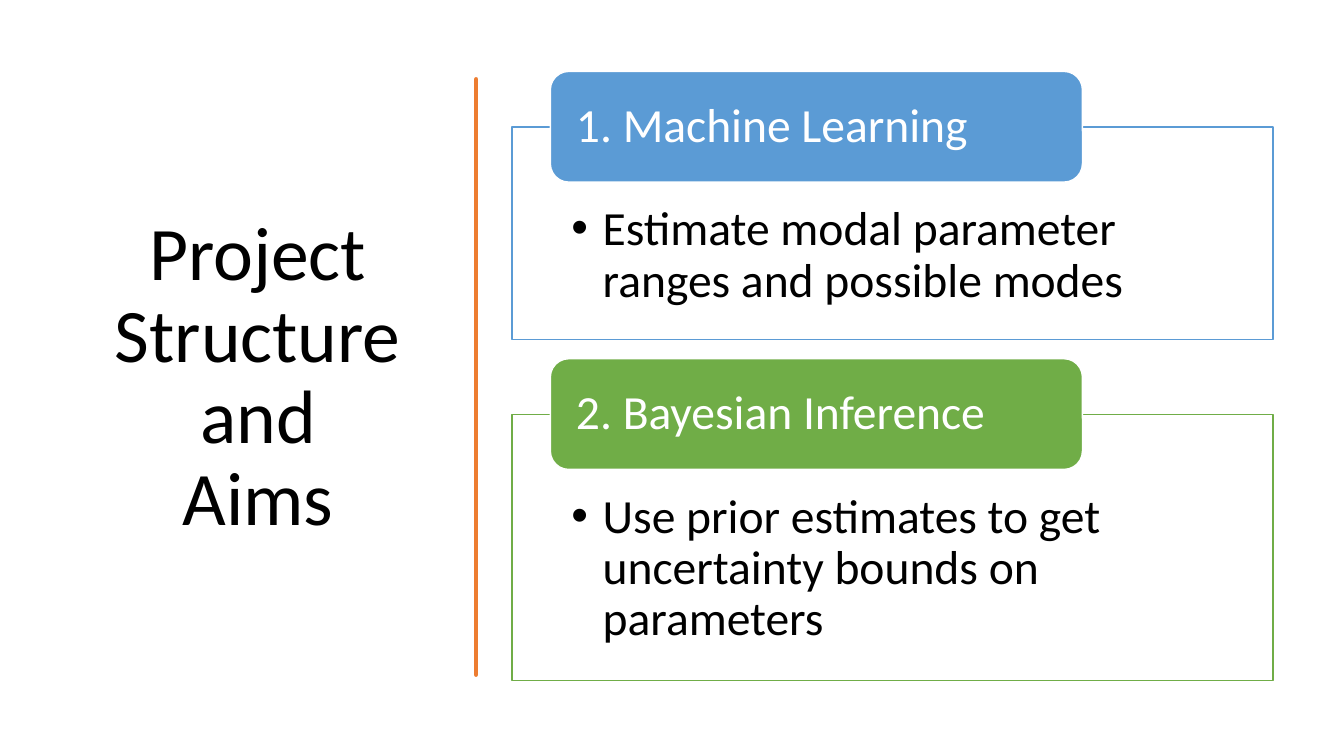
from lxml import etree
from pptx import Presentation
from pptx.dml.color import RGBColor
from pptx.enum.shapes import MSO_SHAPE
from pptx.enum.text import MSO_ANCHOR, MSO_AUTO_SIZE, PP_ALIGN
from pptx.oxml.ns import qn
from pptx.util import Cm, Pt

RECT, ROUND = MSO_SHAPE.RECTANGLE, MSO_SHAPE.ROUNDED_RECTANGLE
TOP, MIDDLE = MSO_ANCHOR.TOP, MSO_ANCHOR.MIDDLE
LEFT, CENTER = PP_ALIGN.LEFT, PP_ALIGN.CENTER
FIXED = MSO_AUTO_SIZE.NONE
COLORS = {"white": "FFFFFF", "black": "000000", "blue": "5B9BD5",
          "green": "70AD47", "orange": "ED7D31"}
FONT = "Calibri"

# Brush edges in cm: two control points, then the y where the curve ends
START = 2.13
RIGHT_X, LEFT_X = 12.07, 12.01
RIGHT_EDGE = [
    (12.12, 2.59, 12.12, 3.02, 3.71), (12.01, 4.39, 12.09, 4.95, 5.74),
    (12.04, 6.53, 12.07, 6.65, 7.47), (12.04, 8.26, 12.12, 8.69, 9.04),
    (12.01, 9.4, 12.17, 10.52, 11.07), (11.96, 11.61, 11.99, 12.29, 12.95),
    (12.12, 13.61, 12.12, 14.33, 14.83), (12.01, 15.32, 12.09, 16.51, 17.17),
]
LEFT_EDGE = [
    (12.04, 16.41, 11.96, 16.36, 15.57), (12.04, 14.81, 12.04, 14.48, 14.15),
    (11.99, 13.82, 11.99, 12.57, 12.12), (12.01, 11.66, 11.96, 11.3, 10.54),
    (12.04, 9.8, 11.99, 9.47, 8.51), (12.04, 7.57, 11.99, 7.14, 6.35),
    (12.04, 5.54, 12.07, 5.08, 4.6), (11.94, 4.14, 12.12, 2.64, 2.13),
]
CARDS = [
    ("1. Machine Learning",
     "Estimate modal parameter ranges and possible modes", "blue", 3.2, 5.36),
    ("2. Bayesian Inference",
     "Use prior estimates to get uncertainty bounds on parameters",
     "green", 10.44, 6.71),
]


def color(name):
    return RGBColor.from_string(COLORS[name])


def paint(shape, fill, line, width):
    shape.shadow.inherit = False
    shape.fill.solid()
    shape.fill.fore_color.rgb = color(fill)
    shape.line.color.rgb = color(line)
    shape.line.width = Pt(width)


def write(shape, text, size, ink, align, anchor):
    frame = shape.text_frame
    frame.text = text
    frame.word_wrap = True
    frame.auto_size = FIXED
    frame.vertical_anchor = anchor
    para = frame.paragraphs[0]
    para.alignment = align
    para.line_spacing = 0.9
    para.font.name = FONT
    para.font.size = Pt(size)
    para.font.color.rgb = color(ink)
    return para


def pad(shape, side, top=0, bottom=0):
    frame = shape.text_frame
    frame.margin_left = frame.margin_right = Cm(side)
    frame.margin_top, frame.margin_bottom = Cm(top), Cm(bottom)


def add_bullet(para):
    props = para._p.get_or_add_pPr()
    props.set("marL", str(Cm(0.79)))
    props.set("indent", str(-Cm(0.79)))
    etree.SubElement(props, qn("a:buFont")).set("typeface", "Arial")
    etree.SubElement(props, qn("a:buChar")).set("char", "•")
    # Bullet tags must come before the default run properties
    font = props.find(qn("a:defRPr"))
    if font is not None:
        props.append(font)


def add_title(slide):
    title = slide.shapes.title
    title.left, title.top = Cm(1.75), Cm(1.78)
    title.width, title.height = Cm(9.5), Cm(15.52)
    write(title, "Project Structure\vand\vAims", 54, "black", CENTER, MIDDLE)


def trace(x, y, edge, steps=8):
    """Sample the cubic curves of one edge, whose joints all lie at x."""
    points = []
    for ax, ay, bx, by, end in edge:
        for step in range(1, steps + 1):
            t = step / steps
            u = 1 - t
            mix = (u ** 3, 3 * u * u * t, 3 * u * t * t, t ** 3)
            points.append((
                sum(m * p for m, p in zip(mix, (x, ax, bx, x))),
                sum(m * p for m, p in zip(mix, (y, ay, by, end)))))
        y = end
    return points


def add_brush(slide):
    right = trace(RIGHT_X, START, RIGHT_EDGE)
    end = RIGHT_EDGE[-1][-1]
    left = [(LEFT_X, end)] + trace(LEFT_X, end, LEFT_EDGE)
    pen = slide.shapes.build_freeform(RIGHT_X, START, scale=Cm(1))
    pen.add_line_segments(right + left, close=True)
    paint(pen.convert_to_shape(), "orange", "orange", 3.25)


def add_card(slide, head, body, tint, top, height):
    box = slide.shapes.add_shape(
        RECT, Cm(12.9), Cm(top), Cm(19.18), Cm(height))
    paint(box, "white", tint, 1)
    pad(box, 1.5, 1.96, 0.66)
    add_bullet(write(box, body, 34, "black", LEFT, TOP))

    tab = slide.shapes.add_shape(
        ROUND, Cm(13.87), Cm(top - 1.4), Cm(13.41), Cm(2.79))
    paint(tab, tint, "white", 1)
    pad(tab, 0.51)
    write(tab, head, 34, "white", LEFT, MIDDLE)


def main():
    deck = Presentation()
    deck.slide_width, deck.slide_height = Cm(33.87), Cm(19.05)
    slide = deck.slides.add_slide(deck.slide_layouts.get_by_name("Title Only"))
    add_title(slide)
    add_brush(slide)
    for card in CARDS:
        add_card(slide, *card)
    deck.save("out.pptx")


if __name__ == "__main__":
    main()
